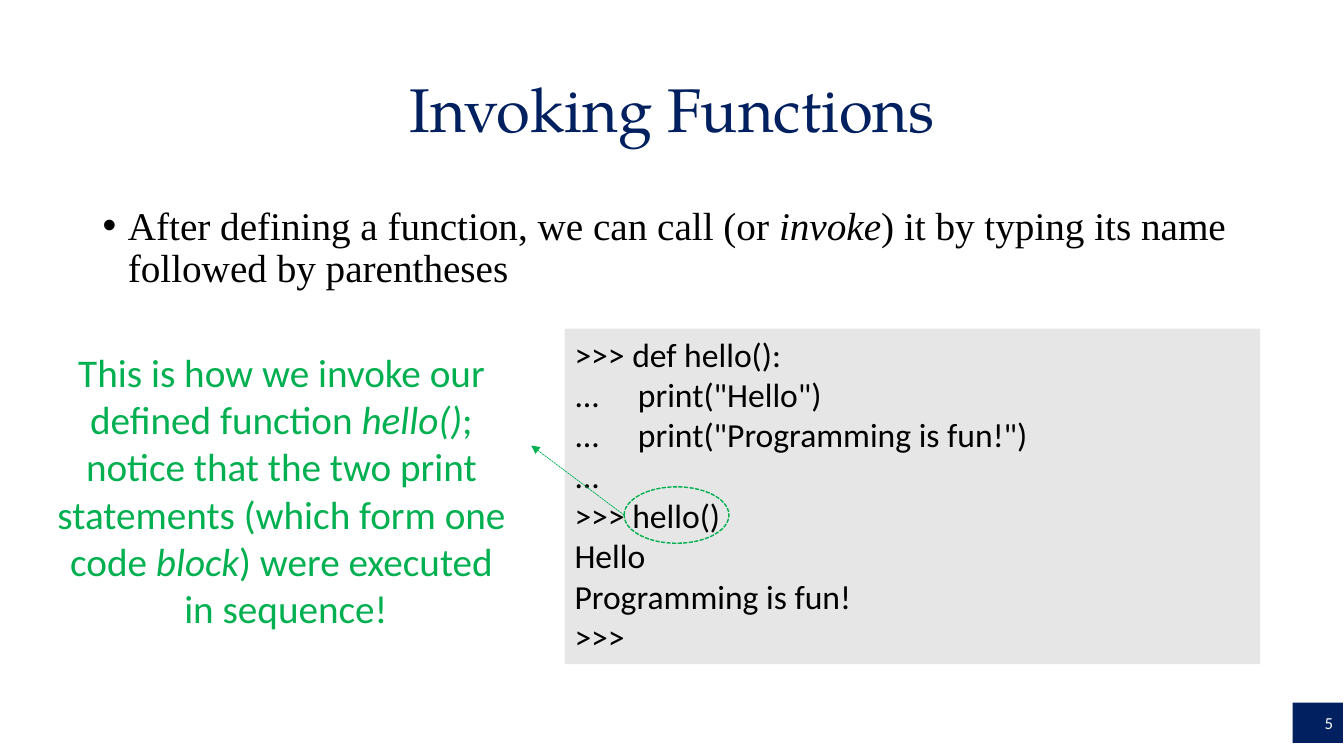
from lxml import etree
from pptx import Presentation
from pptx.dml.color import RGBColor
from pptx.enum.dml import MSO_LINE
from pptx.enum.shapes import MSO_CONNECTOR, MSO_SHAPE
from pptx.enum.text import MSO_ANCHOR, MSO_AUTO_SIZE, PP_ALIGN
from pptx.oxml.ns import qn
from pptx.util import Inches, Pt

LEFT, CENTER, RIGHT = PP_ALIGN.LEFT, PP_ALIGN.CENTER, PP_ALIGN.RIGHT
TOP, MIDDLE = MSO_ANCHOR.TOP, MSO_ANCHOR.MIDDLE
RECTANGLE, OVAL = MSO_SHAPE.RECTANGLE, MSO_SHAPE.OVAL
STRAIGHT, DASH = MSO_CONNECTOR.STRAIGHT, MSO_LINE.SQUARE_DOT
NAVY, GREEN, GRAY, BLACK, WHITE = "002060", "00B050", "E7E6E6", "000000", "FFFFFF"

# Content: a paragraph is a list of (text, italic) runs; \n is a line break
TITLE = [[("Invoking Functions", False)]]
BULLET = [[
    ("After defining a function, we can call (or ", False),
    ("invoke", True),
    (") it by typing its name followed by parentheses", False),
]]
CODE = """>>> def hello():
...     print("Hello")
...     print("Programming is fun!")
...
>>> hello()
Hello
Programming is fun!
>>>"""
EXPLANATION = [[
    ("This is how we invoke our \ndefined function ", False),
    ("hello()", True),
    ("; \nnotice that the two print \nstatements (which form one \ncode ", False),
    ("block", True),
    (") were executed \nin sequence!", False),
]]
PAGE_NUMBER = [[("5", False)]]

# Places: left, top, width, height in inches
TITLE_BOX = (0.92, 0.39, 11.5, 1.45)
BULLET_BOX = (0.92, 2, 11.5, 1.1)
CODE_BOX = (5.6, 3.26, 6.9, 3.33)
EXPLANATION_BOX = (0.44, 3.41, 4.79, 2.93)
CALL_RING = (6.19, 4.83, 1.04, 0.56)
PAGE_BOX = (12.82, 6.97, 0.5, 0.4)
ARROW_TIP = (5.27, 4.42)


def color(value):
    return RGBColor.from_string(value)


def inches(values):
    return [Inches(value) for value in values]


def write(shape, paragraphs, font="Calibri", size=28, fill=BLACK, align=LEFT,
          anchor=TOP, spacing=1.0, wrap=True, bullet=False):
    frame = shape.text_frame
    frame.auto_size = MSO_AUTO_SIZE.NONE
    frame.word_wrap = wrap
    frame.vertical_anchor = anchor
    for index, runs in enumerate(paragraphs):
        paragraph = frame.add_paragraph() if index else frame.paragraphs[0]
        if bullet:
            properties = paragraph._p.get_or_add_pPr()
            properties.set("marL", str(Inches(0.25)))
            properties.set("indent", str(-Inches(0.25)))
            etree.SubElement(properties, qn("a:buFont"), typeface="Arial")
            etree.SubElement(properties, qn("a:buChar"), char="•")
        paragraph.alignment = align
        paragraph.line_spacing = spacing
        for text, italic in runs:
            for line_index, line in enumerate(text.split("\n")):
                if line_index:
                    paragraph.add_line_break()
                run = paragraph.add_run()
                run.text = line
                run.font.name = font
                run.font.size = Pt(size)
                run.font.italic = italic
                run.font.color.rgb = color(fill)


def dash_line(line, width):
    line.color.rgb = color(GREEN)
    line.width = Pt(width)
    line.dash_style = DASH


def add_block(slide, kind, box, fill=None):
    shape = slide.shapes.add_shape(kind, *inches(box))
    shape.shadow.inherit = False
    shape.line.fill.background()
    if fill:
        shape.fill.solid()
        shape.fill.fore_color.rgb = color(fill)
    else:
        shape.fill.background()
    return shape


presentation = Presentation()
presentation.slide_width, presentation.slide_height = Inches(13.33), Inches(7.5)
slide = presentation.slides.add_slide(presentation.slide_layouts[5])

# Title and bullet
title = slide.shapes.title
title.left, title.top, title.width, title.height = inches(TITLE_BOX)
write(title, TITLE, font="TeX Gyre Pagella", size=44, fill=NAVY, align=CENTER,
      anchor=MIDDLE, spacing=0.9)
bullet_box = slide.shapes.add_textbox(*inches(BULLET_BOX))
write(bullet_box, BULLET, font="Times New Roman", spacing=0.9, bullet=True)

# Code session and its explanation
code_block = add_block(slide, RECTANGLE, CODE_BOX, GRAY)
write(code_block, [[(line, False)] for line in CODE.split("\n")], size=24)
explanation = slide.shapes.add_textbox(*inches(EXPLANATION_BOX))
write(explanation, EXPLANATION, fill=GREEN, align=CENTER, wrap=False)

# Ring around the call, with an arrow from its left edge to the explanation
ring = add_block(slide, OVAL, CALL_RING)
dash_line(ring.line, 1)
ring_left, ring_top, ring_width, ring_height = CALL_RING
arrow_start = (ring_left, ring_top + ring_height / 2)
arrow = slide.shapes.add_connector(STRAIGHT, *inches(arrow_start + ARROW_TIP))
dash_line(arrow.line, 0.5)
etree.SubElement(arrow.line._get_or_add_ln(), qn("a:tailEnd"), type="triangle")
etree.SubElement(arrow._element.spPr, qn("a:effectLst"))

# Page number
page_block = add_block(slide, RECTANGLE, PAGE_BOX, NAVY)
write(page_block, PAGE_NUMBER, size=12, fill=WHITE, align=RIGHT, anchor=MIDDLE)

presentation.save("out.pptx")
